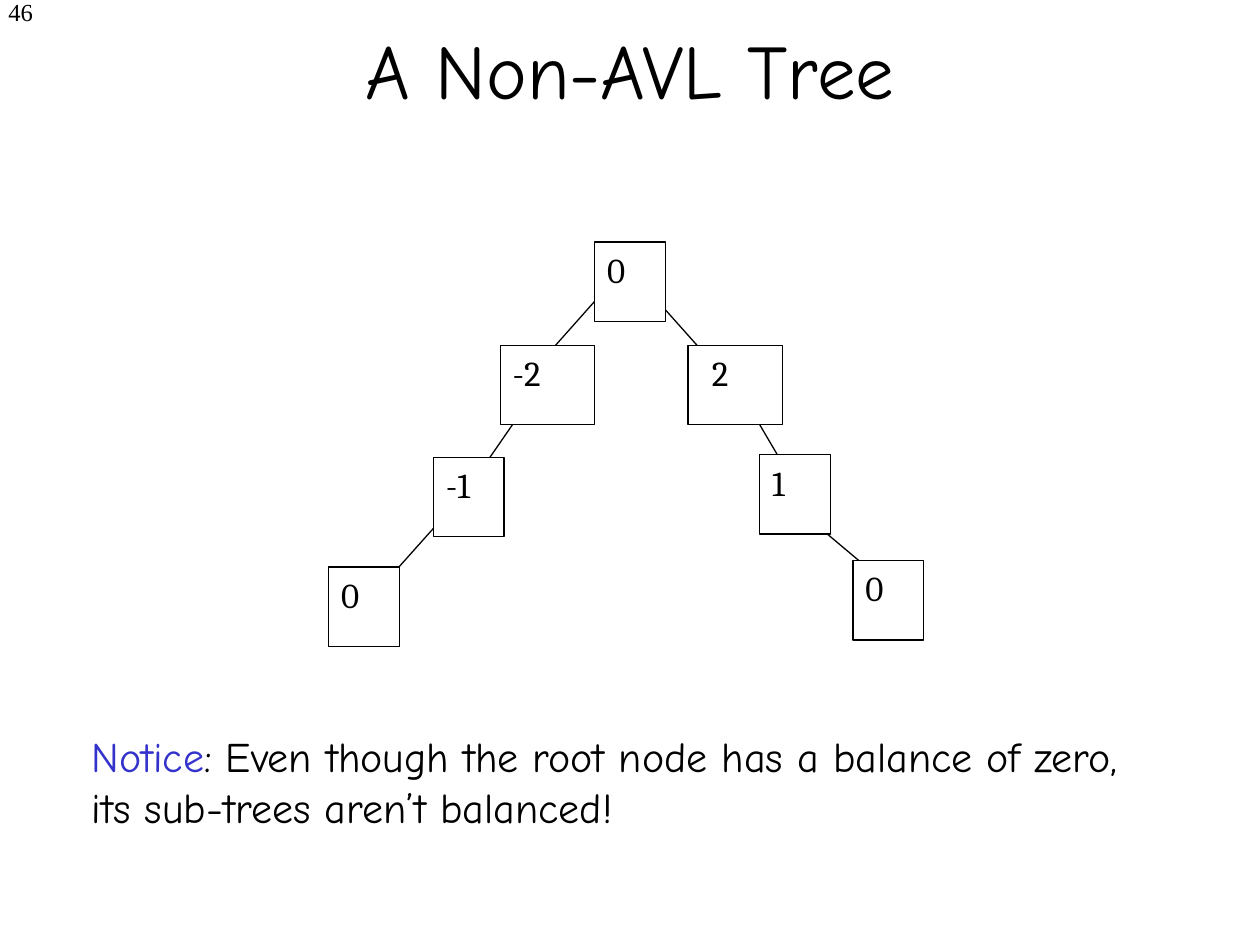
import pptx
import pptx.dml.color
import pptx.enum.shapes
import pptx.enum.text
import pptx.oxml.ns
import pptx.util

WIDTH, HEIGHT = 10, 7.5
BLACK, WHITE, BLUE = "000000", "FFFFFF", "3333CC"
NODE_HEIGHT = 0.63
NARROW, WIDE = 0.56, 0.75
INSET = 0.1
ALIGN = pptx.enum.text.PP_ALIGN
ANCHOR = pptx.enum.text.MSO_ANCHOR

TEXTS = [
    ((-1.72, -0.07, 2.08, 0.5), [("46", BLACK)], "Times New Roman", 14,
     ALIGN.RIGHT, ANCHOR.TOP),
    ((0.75, -0.08, 8.5, 1.25), [("A Non-AVL Tree", BLACK)], "Comic Neue", 44,
     ALIGN.CENTER, ANCHOR.MIDDLE),
    ((0.63, 5.75, 8.71, 0.9),
     [("Notice", BLUE),
      (": Even though the root node has a balance of zero, "
       "its sub-trees aren’t balanced!", BLACK)],
     "Comic Neue", 24, ALIGN.LEFT, ANCHOR.TOP),
]

BRANCHES = [
    ((4.97, 2.11), (4.41, 2.74)),
    ((4.22, 3.15), (3.75, 3.83)),
    ((3.47, 4.16), (2.72, 5)),
    ((4.97, 2.11), (5.71, 2.94)),
    ((5.9, 3.15), (6.27, 3.78)),
    ((6.27, 3.99), (7.02, 4.62)),
]

NODES = [
    ("0", 4.72, 1.92, NARROW, INSET),
    ("-2", 3.97, 2.74, WIDE, INSET),
    ("-1", 3.44, 3.63, NARROW, INSET),
    ("0", 2.61, 4.5, NARROW, INSET),
    ("2", 5.46, 2.74, WIDE, 0.19),
    ("1", 6.03, 3.61, NARROW, INSET),
    ("0", 6.77, 4.45, NARROW, INSET),
]


def inches(values):
    return [pptx.util.Inches(value) for value in values]


def color(value):
    return pptx.dml.color.RGBColor.from_string(value)


def write(shape, runs, font, size, alignment=ALIGN.LEFT, anchor=ANCHOR.TOP):
    frame = shape.text_frame
    frame.word_wrap = True
    frame.vertical_anchor = anchor
    paragraph = frame.paragraphs[0]
    paragraph.alignment = alignment
    for text, run_color in runs:
        run = paragraph.add_run()
        run.text = text
        run.font.name = font
        run.font.size = pptx.util.Pt(size)
        run.font.color.rgb = color(run_color)


def outline(shape):
    shape.line.color.rgb = color(BLACK)
    shape.line.width = pptx.util.Pt(0.75)


def add_branch(slide, start, end):
    branch = slide.shapes.add_connector(
        pptx.enum.shapes.MSO_CONNECTOR.STRAIGHT, *inches(start + end))
    outline(branch)
    properties = branch.element.spPr
    properties.append(
        properties.makeelement(pptx.oxml.ns.qn("a:effectLst"), {}))


def add_node(slide, balance, left, top, width, inset):
    node = slide.shapes.add_shape(
        pptx.enum.shapes.MSO_SHAPE.RECTANGLE,
        *inches((left, top, width, NODE_HEIGHT)))
    node.shadow.inherit = False
    node.fill.solid()
    node.fill.fore_color.rgb = color(WHITE)
    outline(node)
    write(node, [(balance, BLACK)], "Cambria", 20)
    node.text_frame.margin_left = pptx.util.Inches(inset)


def main():
    presentation = pptx.Presentation()
    presentation.slide_width, presentation.slide_height = inches((WIDTH, HEIGHT))
    slide = presentation.slides.add_slide(presentation.slide_layouts[6])
    for box, *content in TEXTS:
        write(slide.shapes.add_textbox(*inches(box)), *content)
    for start, end in BRANCHES:
        add_branch(slide, start, end)
    for node in NODES:
        add_node(slide, *node)
    presentation.save("out.pptx")


if __name__ == "__main__":
    main()
